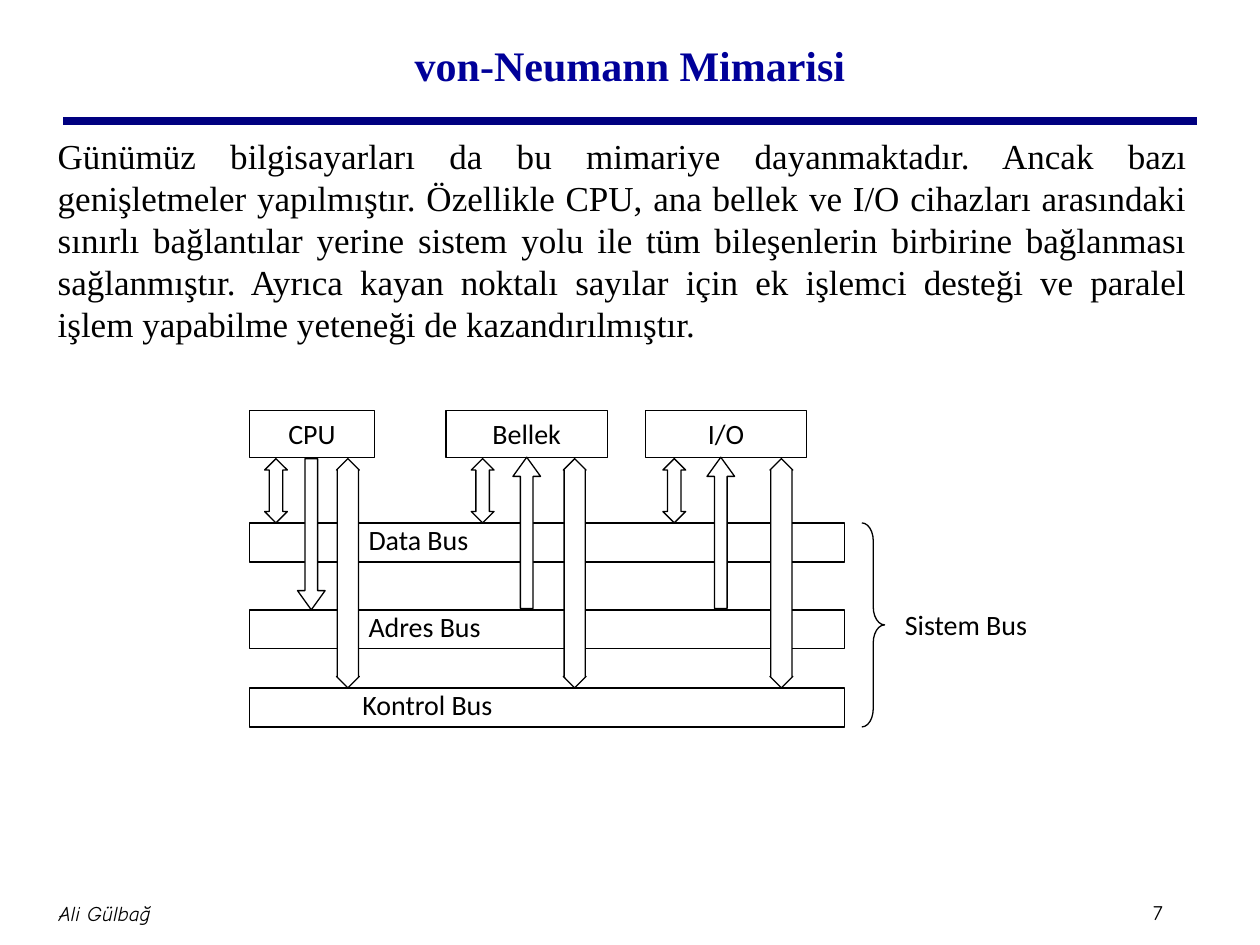
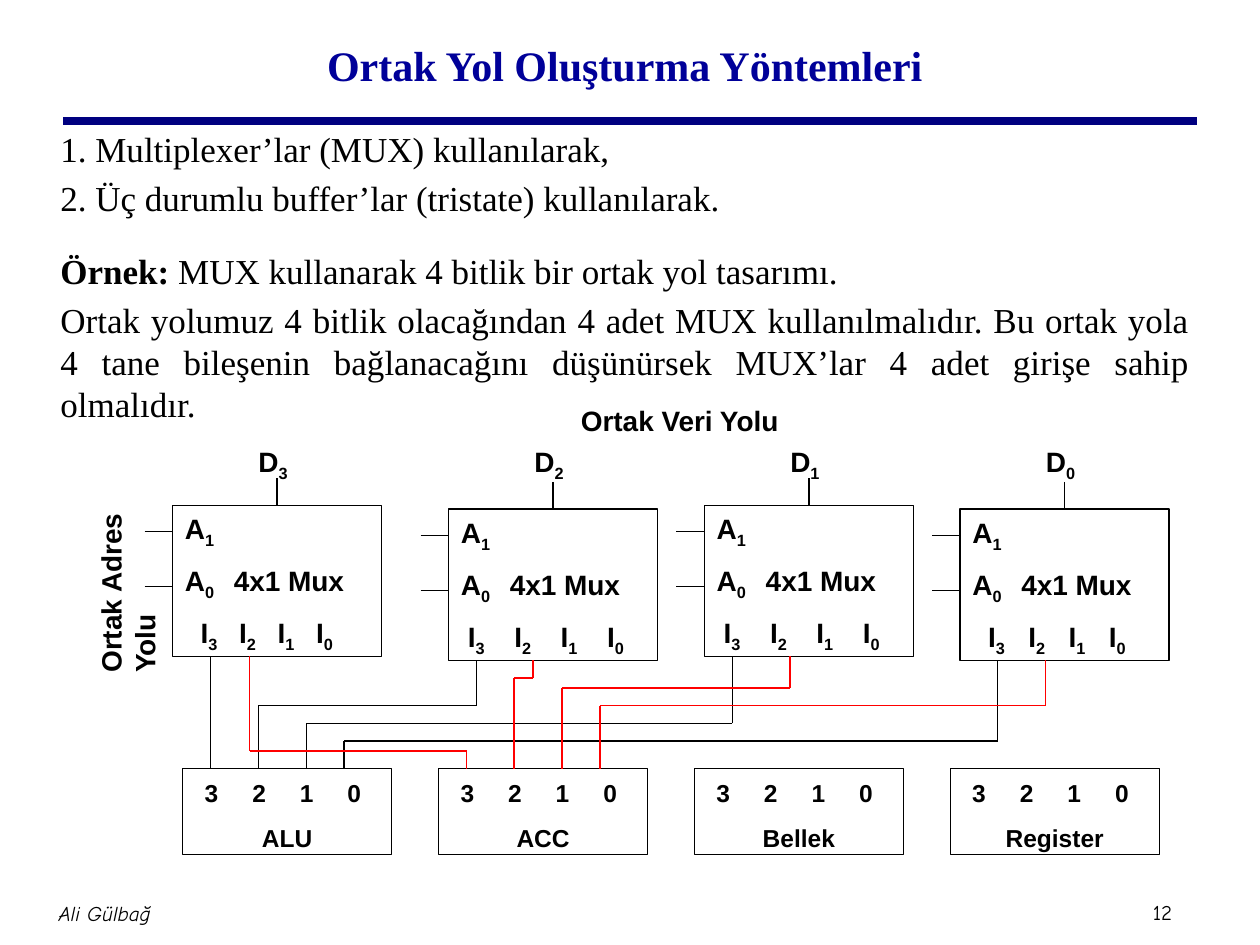
"""Builds two lecture slides on computer buses."""
from dataclasses import dataclass

import pptx
import pptx.dml.color
import pptx.enum.shapes
import pptx.enum.text
import pptx.oxml.ns
import pptx.util
from lxml import etree

Pt = pptx.util.Pt
SHAPE = pptx.enum.shapes.MSO_SHAPE
ALIGN = pptx.enum.text.PP_ALIGN
ANCHOR = pptx.enum.text.MSO_ANCHOR
qn = pptx.oxml.ns.qn


@dataclass(frozen=True)
class Theme:
    """Colours, fonts and type sizes used on every slide."""
    black: str = "000000"
    white: str = "FFFFFF"
    title: str = "000099"
    rule: str = "000080"
    red: str = "FF0000"
    serif: str = "Times New Roman"
    sans: str = "Arial"
    label: str = "Calibri"
    hand: str = "Comic Neue"
    title_size: float = 24
    body_size: float = 20
    label_size: float = 16
    bit_size: float = 14
    footer_size: float = 12
    line: float = 0.75
    rule_line: float = 4.5


T = Theme()


def rgb(value):
    """Turn a hex string into a colour."""
    return pptx.dml.color.RGBColor.from_string(value)


def set_font(p, name, size, color=T.black, bold=False, italic=False):
    """Set the font of a whole paragraph."""
    f = p.font
    f.name, f.size, f.bold, f.italic = name, Pt(size), bold, italic
    f.color.rgb = rgb(color)


def set_tabs(p, stops):
    """Give a paragraph left tab stops, in points."""
    tabs = etree.SubElement(p._p.get_or_add_pPr(), qn("a:tabLst"))
    for stop in stops:
        etree.SubElement(tabs, qn("a:tab"), pos=str(int(Pt(stop))), algn="l")


def add_run(p, text, bold=None, sub=False):
    """Add a run, bold or as a subscript if asked."""
    r = p.add_run()
    r.text = text
    if bold is not None:
        r.font.bold = bold
    if sub:
        r._r.get_or_add_rPr().set("baseline", "-25000")


def setup_frame(sp, insets=(7.2, 3.6, 7.2, 3.6), anchor=ANCHOR.TOP, wrap=True):
    """Set the margins and anchor of a shape and return its text frame."""
    tf = sp.text_frame
    tf.margin_left, tf.margin_top, tf.margin_right, tf.margin_bottom = map(Pt, insets)
    tf.vertical_anchor, tf.word_wrap = anchor, wrap
    return tf


def add_textbox(slide, box, **frame):
    """Add a text box and return it with its text frame."""
    sp = slide.shapes.add_textbox(*map(Pt, box))
    return sp, setup_frame(sp, **frame)


def write(p, text, font, size, align=ALIGN.LEFT, **style):
    """Fill a paragraph with one run of text."""
    p.alignment = align
    add_run(p, text)
    set_font(p, font, size, **style)


def add_outline(slide, kind, box, fill=T.white, adjust=()):
    """Add a preset shape with a thin black outline."""
    sp = slide.shapes.add_shape(kind, *map(Pt, box))
    sp.shadow.inherit = False
    if fill:
        sp.fill.solid()
        sp.fill.fore_color.rgb = rgb(fill)
    else:
        sp.fill.background()
    sp.line.color.rgb = rgb(T.black)
    sp.line.width = Pt(T.line)
    for i, value in enumerate(adjust):
        sp.adjustments[i] = value
    return sp


def add_path(slide, points, color=T.black, width=T.line):
    """Join points with straight connectors."""
    for start, end in zip(points, points[1:]):
        c = slide.shapes.add_connector(
            pptx.enum.shapes.MSO_CONNECTOR.STRAIGHT, *map(Pt, start + end))
        c.line.color.rgb = rgb(color)
        c.line.width = Pt(width)
        etree.SubElement(c._element.spPr, qn("a:effectLst"))


def add_base_slide(prs, title, number):
    """Add a slide with rule, footer and title."""
    slide = prs.slides.add_slide(prs.slide_layouts[6])
    add_path(slide, [(36, 69.1), (684, 69.1)], T.rule, T.rule_line)
    small = dict(insets=(3.6,) * 4, anchor=ANCHOR.MIDDLE)
    _, tf = add_textbox(slide, (655.2, 510.5, 33.8, 21.6), **small)
    write(tf.paragraphs[0], str(number), T.hand, T.footer_size)
    _, tf = add_textbox(slide, (-69.1, 504, 257.8, 36), **small)
    write(tf.paragraphs[0], "Ali Gülbağ", T.hand, T.footer_size, ALIGN.CENTER, italic=True)
    _, tf = add_textbox(slide, (54, 5.8, 612, 61.9), anchor=ANCHOR.MIDDLE)
    write(tf.paragraphs[0], title, T.serif, T.title_size, ALIGN.CENTER,
          color=T.title, bold=True)
    return slide


def add_body(slide, box, paragraphs):
    """Add justified body text; each paragraph is (space before, bold lead, text)."""
    _, tf = add_textbox(slide, box)
    for i, (space, lead, text) in enumerate(paragraphs):
        p = tf.add_paragraph() if i else tf.paragraphs[0]
        p.alignment, p.space_before = ALIGN.JUSTIFY, Pt(space)
        if lead:
            add_run(p, lead, bold=True)
        add_run(p, text)
        set_font(p, T.serif, T.body_size)


def add_system_bus(slide, left, top):
    """Draw CPU, memory and I/O above the three buses of the system bus."""
    for x, w, name in ((0, 71.3, "CPU"), (112.3, 92.2, "Bellek"), (226.1, 92.2, "I/O")):
        sp = add_outline(slide, SHAPE.RECTANGLE, (left + x, top, w, 26.6))
        write(setup_frame(sp).paragraphs[0], name, T.label, T.label_size, ALIGN.CENTER)

    bus_top = top + 64.1
    for y, indent, name in ((0, 68, "Data Bus"), (49.7, 68, "Adres Bus"),
                            (94.3, 64.5, "Kontrol Bus")):
        sp = add_outline(slide, SHAPE.RECTANGLE, (left, bus_top + y, 339.8, 22.3))
        tf = setup_frame(sp, insets=(indent, 0, 0, 0))
        write(tf.paragraphs[0], name, T.label, T.label_size)

    both, down, up = SHAPE.UP_DOWN_ARROW, SHAPE.DOWN_ARROW, SHAPE.UP_ARROW
    arrows = (  # width, height, adjustments, (kind, x, y) for each block
        (13, 36.7, (0.5, 0.593), ((both, 8.6, 27.4), (both, 126.7, 27.4), (both, 236.2, 27.4))),
        (15.8, 86.4, (0.458, 0.694), ((down, 27.4, 27.4), (up, 150.5, 26.6), (up, 261.4, 26.6))),
        (13, 131, (0.604, 0.928), ((both, 49.7, 27.4), (both, 179.3, 27.4), (both, 297.4, 27.4))),
    )
    for w, h, adjust, places in arrows:
        for kind, x, y in places:
            add_outline(slide, kind, (left + x, top + y, w, h), adjust=adjust)

    add_outline(slide, SHAPE.RIGHT_BRACE, (left + 349.9, bus_top, 13, 116.6),
                fill=None, adjust=(0.79, 0.5))
    _, tf = add_textbox(slide, (left + 353.5, top + 108.7, 127.4, 37.4),
                        insets=(21, 3.6, 7.2, 3.6))
    write(tf.paragraphs[0], "Sistem Bus", T.label, T.label_size)


def add_indexed(p, letter, index):
    """Add a letter with a subscript index."""
    add_run(p, letter)
    add_run(p, str(index), sub=True)


def add_mux(slide, box, bit, first, pitch):
    """Draw a 4x1 multiplexer with its address lines and its output D."""
    x, y, w, _ = box
    tf = setup_frame(add_outline(slide, SHAPE.RECTANGLE, box, fill=None))
    address, middle, inputs = tf.paragraphs[0], tf.add_paragraph(), tf.add_paragraph()
    set_tabs(middle, [28])
    set_tabs(inputs, [first + pitch * i for i in range(4)])
    add_indexed(address, "A", 1)
    add_indexed(middle, "A", 0)
    add_run(middle, "\t4x1 Mux")
    for i in (3, 2, 1, 0):
        add_indexed(inputs, "\tI", i)
    for p in tf.paragraphs:
        p.alignment, p.space_before = ALIGN.LEFT, Pt(8)
        set_font(p, T.sans, T.label_size, bold=True)

    for dy in (15, 46.5):
        add_path(slide, [(x - 16, y + dy), (x, y + dy)])
    add_path(slide, [(x + w / 2, y - 15.5), (x + w / 2, y)])
    _, tf = add_textbox(slide, (x + 42, 250.6, 32.4, 26.6), wrap=False)
    add_indexed(tf.paragraphs[0], "D", bit)
    set_font(tf.paragraphs[0], T.sans, T.label_size, bold=True)


def add_register(slide, box, name):
    """Draw a four-bit unit with its bit numbers and name."""
    sp = add_outline(slide, SHAPE.RECTANGLE, box, fill=None)
    tf = setup_frame(sp, insets=(7.2, 5.5, 7.2, 3.6))
    bits, label = tf.paragraphs[0], tf.add_paragraph()
    set_tabs(bits, [5.5 + 27.2 * i for i in range(4)])
    write(bits, "\t3\t2\t1\t0", T.sans, T.bit_size, bold=True)
    label.space_before = Pt(8.5)
    write(label, name, T.sans, T.bit_size, ALIGN.CENTER, bold=True)


def add_common_bus(slide, left, top):
    """Draw four multiplexers wired to the bits of four units."""
    step, width, mux_height = 146.2, 119.5, 86.4
    muxes = [(left + x, top + y) for x, y in
             ((0, 0), (157.7, 2.2), (303.9, 0), (450, 2.2))]
    tab_rules = ((9, 22), (4, 26.5), (4, 26.5), (9, 23))  # first stop, pitch
    for i, ((x, y), (first, pitch)) in enumerate(zip(muxes, tab_rules)):
        add_mux(slide, (x, y, width, mux_height), 3 - i, first, pitch)

    unit_left, unit_top = left + 5.8, top + 150.5
    for i, name in enumerate(("ALU", "ACC", "Bellek", "Register")):
        add_register(slide, (unit_left + step * i, unit_top, width, 49), name)

    bit_offsets = (16, 43.2, 70.6, 92.2)
    wiring = (  # colour, pin offset in each mux, level of each crossing
        (T.black, (21.8, 16, 16, 21.6), (None, 114.5, 124.6, 134.7)),
        (T.red, (44, 48.3, 49, 49), (140.4, 98.7, 104.4, 114.5)),
    )
    for unit, (color, pins, levels) in enumerate(wiring):
        for bit, pin, level, (x, y) in zip(bit_offsets, pins, levels, muxes):
            start = unit_left + step * unit + bit
            if level is None:
                points = [(start, unit_top), (start, y + mux_height)]
            else:
                points = [(start, unit_top), (start, top + level),
                          (x + pin, top + level), (x + pin, y + mux_height)]
            add_path(slide, points, color)

    _, tf = add_textbox(slide, (left + 113.8, top - 61.9, 352.1, 26.6))
    write(tf.paragraphs[0], "Ortak Veri Yolu", T.sans, T.label_size, ALIGN.CENTER, bold=True)
    sp, tf = add_textbox(slide, (left - 104.4, top + 19.5, 139, 27.4))
    sp.rotation = 270
    write(tf.paragraphs[0], "Ortak Adres Yolu", T.sans, T.label_size, bold=True)


def main():
    """Build both slides and save the file."""
    prs = pptx.Presentation()
    prs.slide_width, prs.slide_height = Pt(720), Pt(540)

    slide = add_base_slide(prs, "von-Neumann Mimarisi", 7)
    add_body(slide, (25.9, 73.4, 659.5, 126), [
        (4, "", "Günümüz bilgisayarları da bu mimariye dayanmaktadır. Ancak bazı "
         "genişletmeler yapılmıştır. Özellikle CPU, ana bellek ve I/O cihazları "
         "arasındaki sınırlı bağlantılar yerine sistem yolu ile tüm bileşenlerin "
         "birbirine bağlanması sağlanmıştır. Ayrıca kayan noktalı sayılar için ek "
         "işlemci desteği ve paralel işlem yapabilme yeteneği de kazandırılmıştır.")])
    add_system_bus(slide, 142.6, 234.7)

    slide = add_base_slide(prs, "Ortak Yol Oluşturma Yöntemleri ", 12)
    add_body(slide, (27.4, 69.1, 659.5, 399.6), [
        (4, "", "1. Multiplexer’lar (MUX) kullanılarak,"),
        (4, "", "2. Üç durumlu buffer’lar (tristate) kullanılarak."),
        (18, "Örnek: ", "MUX kullanarak 4 bitlik bir ortak yol tasarımı."),
        (4, "", "Ortak yolumuz 4 bitlik olacağından 4 adet MUX kullanılmalıdır. Bu "
         "ortak yola 4 tane bileşenin bağlanacağını düşünürsek MUX’lar 4 adet girişe "
         "sahip olmalıdır.")])
    add_common_bus(slide, 98.6, 288.7)

    prs.save("out.pptx")


main()
